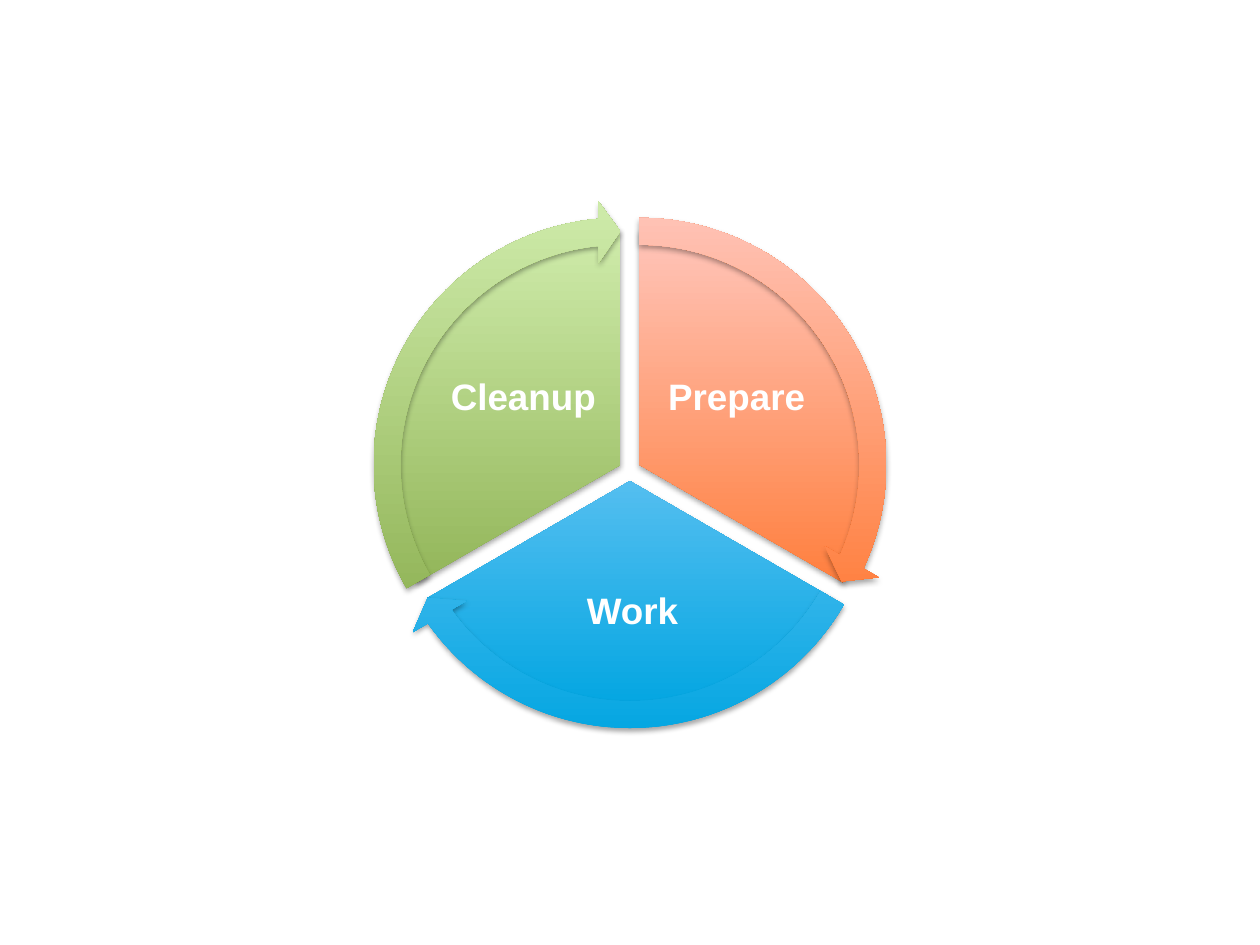
"""Build a slide with a three-step cycle of wedges and arrows."""
import math
from dataclasses import dataclass

from lxml import etree
from pptx import Presentation
from pptx.dml.color import RGBColor
from pptx.enum.shapes import MSO_SHAPE
from pptx.enum.text import MSO_ANCHOR, PP_ALIGN
from pptx.oxml.ns import qn
from pptx.util import Cm, Pt

PIE, ARROW = MSO_SHAPE.PIE, MSO_SHAPE.CIRCULAR_ARROW
MIDDLE, CENTER = MSO_ANCHOR.MIDDLE, PP_ALIGN.CENTER
BLANK_LAYOUT = 6
HUB_X, HUB_Y, GAP = 12.7, 9.48, 0.22
WEDGE_SIZE, ARROW_SIZE = 9.47, 10.67
STEP_ANGLE = 120
UNITS_PER_DEGREE = 0.6
ARROW_WIDTH, HEAD_ANGLE, HEAD_WIDTH = 0.051, 3.275, 0.059


@dataclass(frozen=True)
class Theme:
    """Colours, font and sizes of the slide."""
    prepare: tuple = ("FF6815", "FFC5BA")
    work: tuple = ("00A5E1", "ABD8FF")
    cleanup: tuple = ("7FA43E", "CEEBAA")
    text: str = "FFFFFF"
    shadow: str = "000000"
    font: str = "Arial"
    label_size: float = 21


class Deck:
    """Holds the theme and the group on the current slide."""

    def __init__(self, theme):
        """Start a presentation with one blank slide."""
        self.theme = theme
        self.prs = Presentation()
        self.prs.slide_width, self.prs.slide_height = Cm(25.4), Cm(19.05)
        s = self.prs.slides.add_slide(self.prs.slide_layouts[BLANK_LAYOUT])
        self.shapes = s.shapes.add_group_shape().shapes

    def shadow(self, sp):
        """Give a shape a soft shadow straight below it."""
        sp.shadow.inherit = False
        effects = sp._element.spPr.find(qn("a:effectLst"))
        outer = etree.SubElement(effects, qn("a:outerShdw"), blurRad="40000",
                                 dist="23000", dir="5400000", rotWithShape="0")
        color = etree.SubElement(outer, qn("a:srgbClr"), val=self.theme.shadow)
        etree.SubElement(color, qn("a:alpha"), val="35000")

    def segment(self, kind, center, size, colors, adjustments):
        """Draw a round preset shape with a vertical gradient."""
        x, y = center
        sp = self.shapes.add_shape(kind, Cm(x - size / 2), Cm(y - size / 2),
                                   Cm(size), Cm(size))
        for i, value in enumerate(adjustments):
            sp.adjustments[i] = value
        sp.fill.gradient()
        sp.fill.gradient_angle = 90
        for stop, color in zip(sp.fill.gradient_stops, colors):
            stop.color.rgb = RGBColor.from_string(color)
        sp.line.fill.background()
        self.shadow(sp)

    def label(self, text, box):
        """Write a centred bold label."""
        tf = self.shapes.add_textbox(*map(Cm, box)).text_frame
        tf.word_wrap = True
        tf.vertical_anchor = MIDDLE
        tf.margin_left = tf.margin_right = Cm(0.08)
        tf.margin_top = tf.margin_bottom = Cm(0.08)
        p = tf.paragraphs[0]
        p.alignment, p.line_spacing = CENTER, 0.9
        p.space_after = Pt(0.35 * self.theme.label_size)
        r = p.add_run()
        r.text = text
        r.font.name, r.font.size = self.theme.font, Pt(self.theme.label_size)
        r.font.bold = True
        r.font.color.rgb = RGBColor.from_string(self.theme.text)


def place(index):
    """Return the centre, start and end of a step around the hub."""
    start = (270 + STEP_ANGLE * index) % 360
    middle = math.radians(start + STEP_ANGLE / 2)
    center = (HUB_X + GAP * math.cos(middle), HUB_Y + GAP * math.sin(middle))
    end = (start + STEP_ANGLE) % 360
    return center, start * UNITS_PER_DEGREE, end * UNITS_PER_DEGREE


def main():
    """Draw the cycle and save it."""
    theme = Theme()
    deck = Deck(theme)
    steps = [
        ("Prepare", theme.prepare, (13.16, 6.63, 3.38, 2.82)),
        ("Work", theme.work, (10.21, 11.1, 5.08, 2.49)),
        ("Cleanup", theme.cleanup, (8.86, 6.63, 3.38, 2.82)),
    ]
    for i, (text, colors, box) in enumerate(steps):
        center, start, end = place(i)
        deck.segment(PIE, center, WEDGE_SIZE, colors, (start, end))
        deck.label(text, box)
    for i, (_, colors, _) in enumerate(steps):
        center, start, end = place(i)
        deck.segment(ARROW, center, ARROW_SIZE, colors,
                     (ARROW_WIDTH, HEAD_ANGLE, end - HEAD_ANGLE, start, HEAD_WIDTH))
    deck.prs.save("out.pptx")


main()
